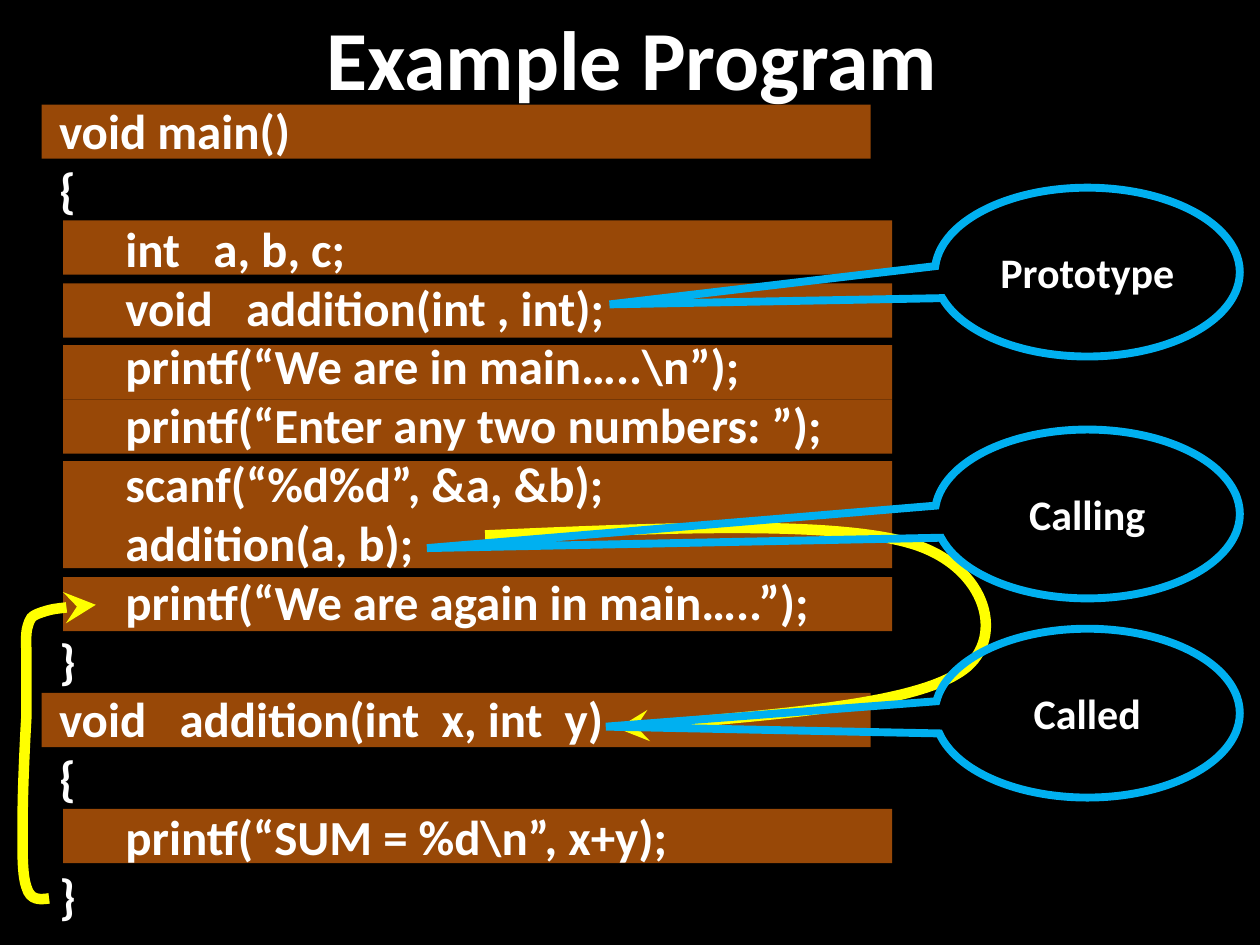
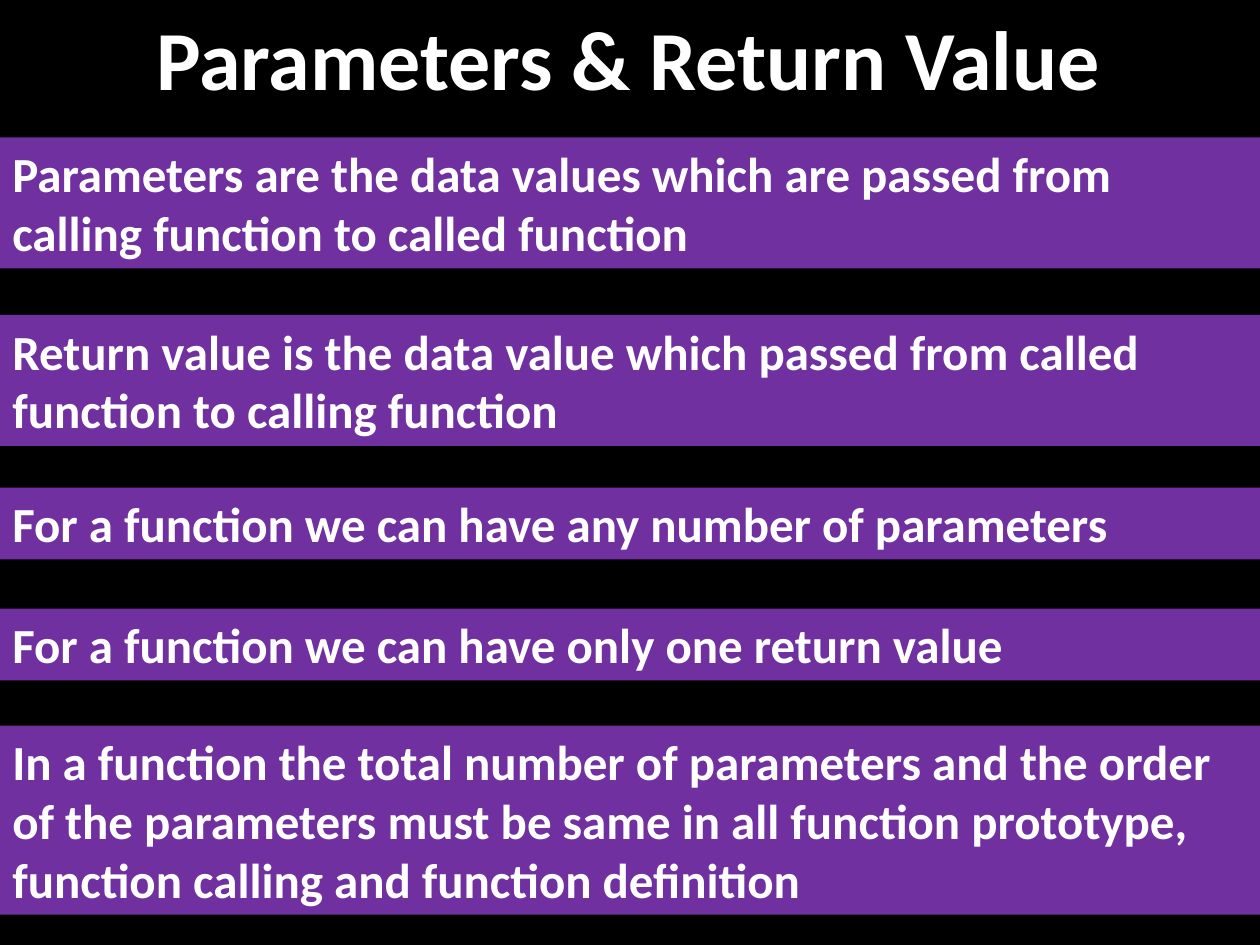
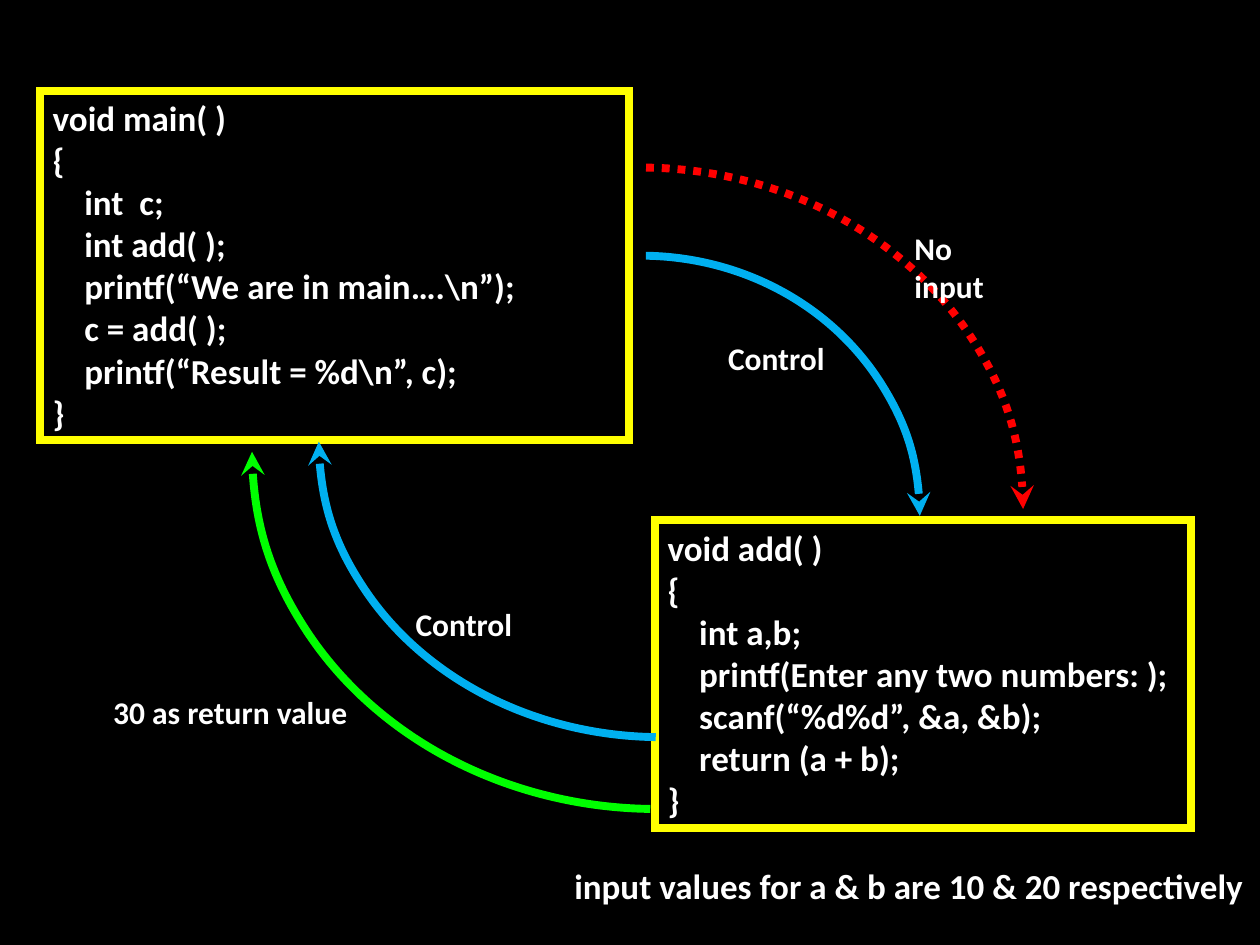
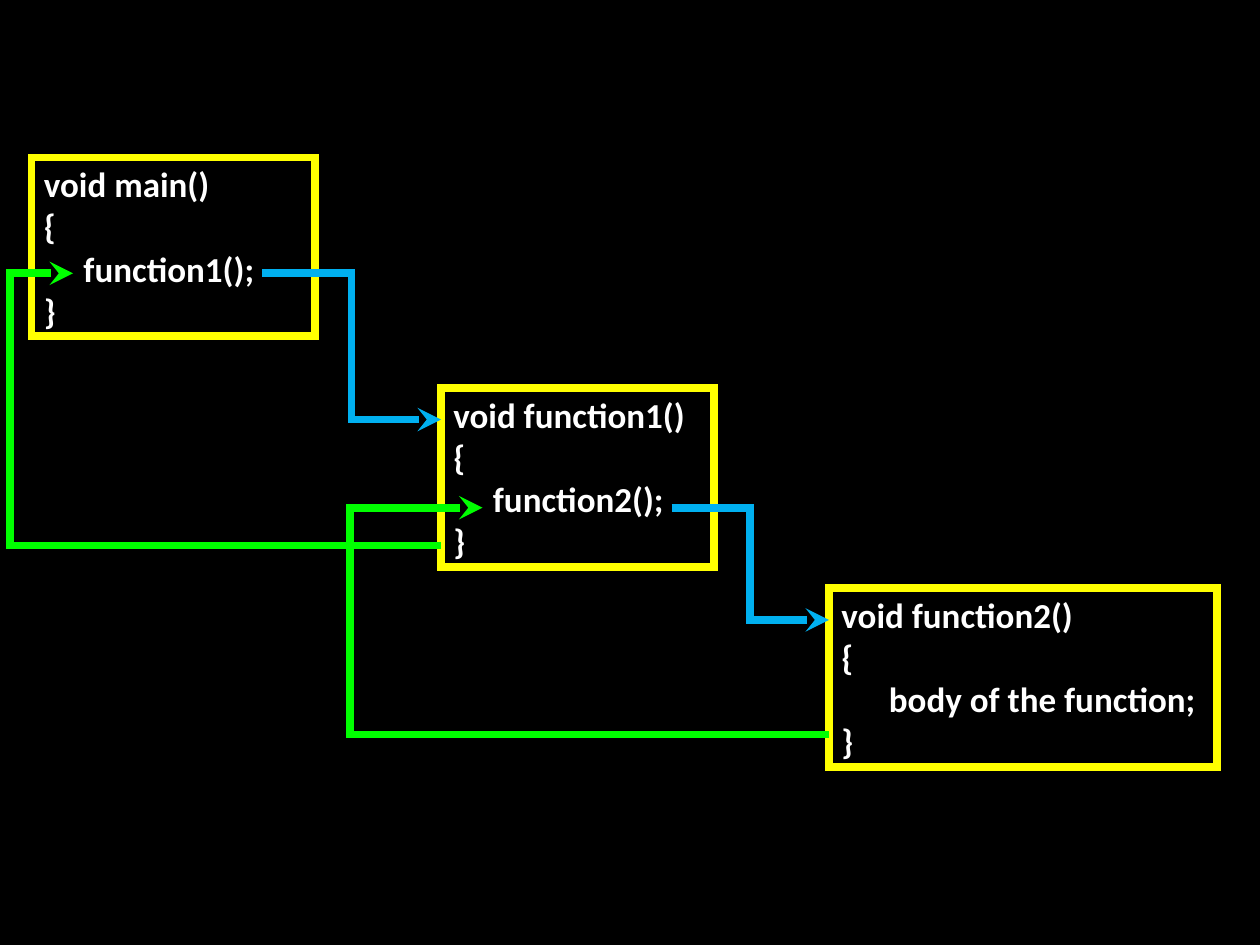
from dataclasses import dataclass

from lxml import etree
from pptx import Presentation
from pptx.dml.color import RGBColor
from pptx.enum.dml import MSO_LINE
from pptx.enum.shapes import MSO_CONNECTOR, MSO_SHAPE
from pptx.enum.text import MSO_ANCHOR, MSO_AUTO_SIZE, PP_ALIGN
from pptx.oxml.ns import qn
from pptx.util import Pt

PX = 9144  # EMU in one px, 100 px to the inch
SLIDE_WIDTH, SLIDE_HEIGHT = 1000, 750
TITLE_ONLY, BLANK = 5, 6

RECTANGLE = MSO_SHAPE.RECTANGLE
ARC = MSO_SHAPE.ARC
CALLOUT = MSO_SHAPE.OVAL_CALLOUT
ELBOW = MSO_CONNECTOR.ELBOW
DOTTED = MSO_LINE.ROUND_DOT
LEFT, CENTER = PP_ALIGN.LEFT, PP_ALIGN.CENTER
TOP, MIDDLE = MSO_ANCHOR.TOP, MSO_ANCHOR.MIDDLE
GROW, FIXED = MSO_AUTO_SIZE.SHAPE_TO_FIT_TEXT, MSO_AUTO_SIZE.NONE


@dataclass(frozen=True)
class Theme:
    font: str = "Calibri"
    background: str = "000000"
    text: str = "FFFFFF"
    code_band: str = "984807"
    point_band: str = "7030A0"
    frame: str = "FFFF00"
    call: str = "00B0F0"
    give_back: str = "00FF00"
    missing: str = "FF0000"
    title_size: int = 48
    body_size: int = 28
    callout_size: int = 24
    code_size: int = 20
    label_size: int = 18
    line_width: float = 4.5
    flow_width: float = 6


THEME = Theme()


# Shared helpers

def scaled(*lengths):
    return [length * PX for length in lengths]


def paint(color_format, color):
    color_format.rgb = RGBColor.from_string(color)


def write(shape, lines, size, align=LEFT, anchor=TOP, wrap=True, grow=GROW):
    frame = shape.text_frame
    for name, value in {"word_wrap": wrap, "auto_size": grow,
                        "vertical_anchor": anchor}.items():
        setattr(frame, name, value)
    font_format = {"name": THEME.font, "size": Pt(size), "bold": True}
    for index, line in enumerate(lines):
        paragraph = frame.paragraphs[0] if index == 0 else frame.add_paragraph()
        paragraph.alignment = align
        run = paragraph.add_run()
        run.text = line
        for name, value in font_format.items():
            setattr(run.font, name, value)
        paint(run.font.color, THEME.text)


def draw_line(shape, color, width=THEME.line_width, dash=None, arrow=False):
    line = shape.line
    paint(line.color, color)
    line.width = Pt(width)
    if dash:
        line.dash_style = dash
    line_xml = shape._element.spPr.find(qn("a:ln"))
    etree.SubElement(line_xml, qn("a:miter"), lim="800000")
    if arrow:
        etree.SubElement(line_xml, qn("a:tailEnd"), type="stealth")


def add_figure(slide, preset, box, fill=None):
    shape = slide.shapes.add_shape(preset, *scaled(*box))
    shape.shadow.inherit = False
    shape.line.fill.background()
    if fill:
        shape.fill.solid()
        paint(shape.fill.fore_color, fill)
    else:
        shape.fill.background()
    return shape


def add_label(slide, box, lines, size):
    write(slide.shapes.add_textbox(*scaled(*box)), lines, size, wrap=False)


def add_title(slide, text, left, width):
    title = slide.shapes.title
    title.left, title.top, title.width, title.height = scaled(left, 0, width, 90)
    write(title, [text], THEME.title_size, wrap=False)


def add_code_frame(slide, box, lines, anchor=TOP, grow=GROW):
    shape = add_figure(slide, RECTANGLE, box)
    draw_line(shape, THEME.frame)
    write(shape, lines, THEME.code_size, anchor=anchor, grow=grow)


def add_curve(slide, points, color, width):
    """Draw Bezier segments: a start point, then three points a segment."""
    builder = slide.shapes.build_freeform(*points[0], scale=PX)
    builder.add_line_segments(points[1:], close=False)
    shape = builder.convert_to_shape()
    outline = next(shape._element.iter(qn("a:path")))
    steps = outline.findall(qn("a:lnTo"))
    for first in range(0, len(steps), 3):
        bezier = etree.SubElement(outline, qn("a:cubicBezTo"))
        for step in steps[first:first + 3]:
            bezier.append(step[0])
            outline.remove(step)
    shape.shadow.inherit = False
    shape.fill.background()
    draw_line(shape, color, width, arrow=True)


def add_arc_arrow(slide, box, color, rotation=0, dash=None):
    shape = add_figure(slide, ARC, box)
    shape.adjustments[0] = 162.6  # just past the top of the ellipse
    shape.rotation = rotation
    draw_line(shape, color, dash=dash, arrow=True)


def add_elbow_arrow(slide, start, end, color, lane=None):
    """Draw an elbow whose upright part stands at x = lane, or halfway."""
    connector = slide.shapes.add_connector(ELBOW, *scaled(*start, *end))
    draw_line(connector, color, arrow=True)
    properties = connector._element.spPr
    etree.SubElement(properties, qn("a:effectLst"))
    if lane is not None:
        share = round((start[0] - lane) / (start[0] - end[0]) * 100000)
        guides = properties.find(qn("a:prstGeom")).get_or_add_avLst()
        etree.SubElement(guides, qn("a:gd"), name="adj1", fmla=f"val {share}")


# Slide 1: program with its call flow

PROGRAM = [
    "void main()",
    "{",
    "      int   a, b, c;",
    "      void   addition(int , int);",
    "      printf(“We are in main…..\\n”);",
    "      printf(“Enter any two numbers: ”);",
    "      scanf(“%d%d”, &a, &b);",
    "      addition(a, b);",
    "      printf(“We are again in main…..”);",
    "}",
    "void   addition(int  x, int  y)",
    "{",
    "      printf(“SUM = %d\\n”, x+y);",
    "}",
]
BAND_TOPS = {-4: (8, 475), 13: (100, 150, 199, 242, 291, 333, 383, 567)}
CALL_FLOW = [(385, 425), (522, 419), (660, 413), (722, 431),
             (785, 449), (800, 510), (761, 534),
             (722, 559), (606, 568), (490, 578)]
RETURN_FLOW = [(39, 713), (32, 714), (24, 715), (21, 704),
               (17, 693), (18, 670), (18, 648),
               (18, 625), (20, 584), (21, 568),
               (21, 552), (21, 550), (21, 550),
               (21, 543), (21, 531), (21, 522),
               (21, 513), (20, 503), (22, 497),
               (24, 491), (24, 489), (33, 486),
               (42, 483), (59, 481), (76, 480)]
CALLOUTS = [("Prototype", 149, (-1.567, 0.191)),
            ("Calling", 341, (-2.166, 0.202)),
            ("Called", 499, (-1.579, 0.08))]


def add_program(slide, box):
    left, top = box[:2]
    for indent, offsets in BAND_TOPS.items():
        for offset in offsets:
            band = (left + indent, top + offset, 658, 43)
            add_figure(slide, RECTANGLE, band, THEME.code_band)
    add_label(slide, box, PROGRAM, THEME.body_size)


def add_callout(slide, box, text, tip):
    shape = add_figure(slide, CALLOUT, box)
    for index, value in enumerate(tip):
        shape.adjustments[index] = value
    draw_line(shape, THEME.call)
    write(shape, [text], THEME.callout_size, CENTER, MIDDLE, grow=FIXED)


def build_program_slide(slide):
    add_title(slide, "Example Program", 249, 508)
    add_program(slide, (37, 75, 628, 664))
    for flow in (CALL_FLOW, RETURN_FLOW):
        add_curve(slide, flow, THEME.frame, THEME.flow_width)
    for text, top, tip in CALLOUTS:
        add_callout(slide, (742, top, 242, 134), text, tip)


# Slide 2: full-width statements

POINTS = [
    (109, 104, "Parameters are the data values which are passed from "
               "calling function to called function"),
    (250, 104, "Return value is the data value which passed from called "
               "function to calling function"),
    (387, 57, "For a function we can have any number of parameters"),
    (483, 57, "For a function we can have only one return value"),
    (576, 150, "In a function the total number of parameters and the order "
               "of the parameters must be same in all function prototype, "
               "function calling and function definition"),
]


def build_points_slide(slide):
    add_title(slide, "Parameters & Return Value", 114, 779)
    for top, height, text in POINTS:
        band = add_figure(slide, RECTANGLE, (0, top, SLIDE_WIDTH, height),
                          THEME.point_band)
        write(band, [text], THEME.body_size)


# Slide 3: control and data between two functions

MAIN_CODE = [
    "void main( )",
    "{",
    "    int  c;",
    "    int add( );",
    "    printf(“We are in main….\\n”);",
    "    c = add( );",
    "    printf(“Result = %d\\n”, c);",
    "}",
]
ADD_CODE = [
    "void add( )",
    "{",
    "    int a,b;",
    "    printf(Enter any two numbers: );",
    "    scanf(“%d%d”, &a, &b);",
    "    return (a + b);",
    "}",
]
ARCS = [((204, 133, 608, 542), THEME.missing, 0, DOTTED),
        ((288, 203, 442, 413), THEME.call, 0, None),
        ((253, 116, 543, 469), THEME.call, 180, None),
        ((200, 75, 642, 567), THEME.give_back, 180, None)]
LABELS = [("Control", (568, 264, 97, 40), THEME.label_size),
          ("No input", (716, 177, 110, 40), THEME.label_size),
          ("Control", (320, 475, 97, 40), THEME.label_size),
          ("30 as return value", (80, 545, 207, 40), THEME.label_size),
          ("input values for a & b are 10 & 20 respectively",
           (446, 681, 553, 44), THEME.code_size)]


def build_return_slide(slide):
    add_code_frame(slide, (32, 72, 467, 277), MAIN_CODE)
    add_code_frame(slide, (520, 413, 425, 244), ADD_CODE)
    for box, color, rotation, dash in ARCS:
        add_arc_arrow(slide, box, color, rotation, dash)
    for text, box, size in LABELS:
        add_label(slide, box, [text], size)


# Slide 4: nested calls

@dataclass(frozen=True)
class FunctionBox:
    left: int
    top: int
    width: int
    name: str
    body: str
    call_row: int = 0    # offset of the calling line
    return_row: int = 0  # offset of the closing brace
    lane: int = 0        # x of the way back to the caller

    def at(self, x, y):
        return self.left + x, self.top + y


FUNCTIONS = [
    FunctionBox(25, 125, 225, "main", "     function1();", call_row=92),
    FunctionBox(350, 308, 217, "function1", "     function2();",
                call_row=95, return_row=125, lane=8),
    FunctionBox(658, 467, 308, "function2", "      body of the function;",
                return_row=116, lane=278),
]


def build_nesting_slide(slide):
    for function in FUNCTIONS:
        code = [f"void {function.name}()", "{", function.body, "}"]
        add_code_frame(slide, (function.left, function.top, function.width, 142),
                       code, MIDDLE, FIXED)
    for caller, called in zip(FUNCTIONS, FUNCTIONS[1:]):
        add_elbow_arrow(slide, caller.at(183, caller.call_row),
                        called.at(0, 25), THEME.call)
        add_elbow_arrow(slide, called.at(0, called.return_row),
                        caller.at(33, caller.call_row),
                        THEME.give_back, called.lane)


def main():
    presentation = Presentation()
    presentation.slide_width, presentation.slide_height = scaled(
        SLIDE_WIDTH, SLIDE_HEIGHT)
    background = presentation.slide_master.background.fill
    background.solid()
    paint(background.fore_color, THEME.background)
    for layout, build in ((TITLE_ONLY, build_program_slide),
                          (TITLE_ONLY, build_points_slide),
                          (BLANK, build_return_slide),
                          (BLANK, build_nesting_slide)):
        build(presentation.slides.add_slide(presentation.slide_layouts[layout]))
    presentation.save("out.pptx")


if __name__ == "__main__":
    main()
